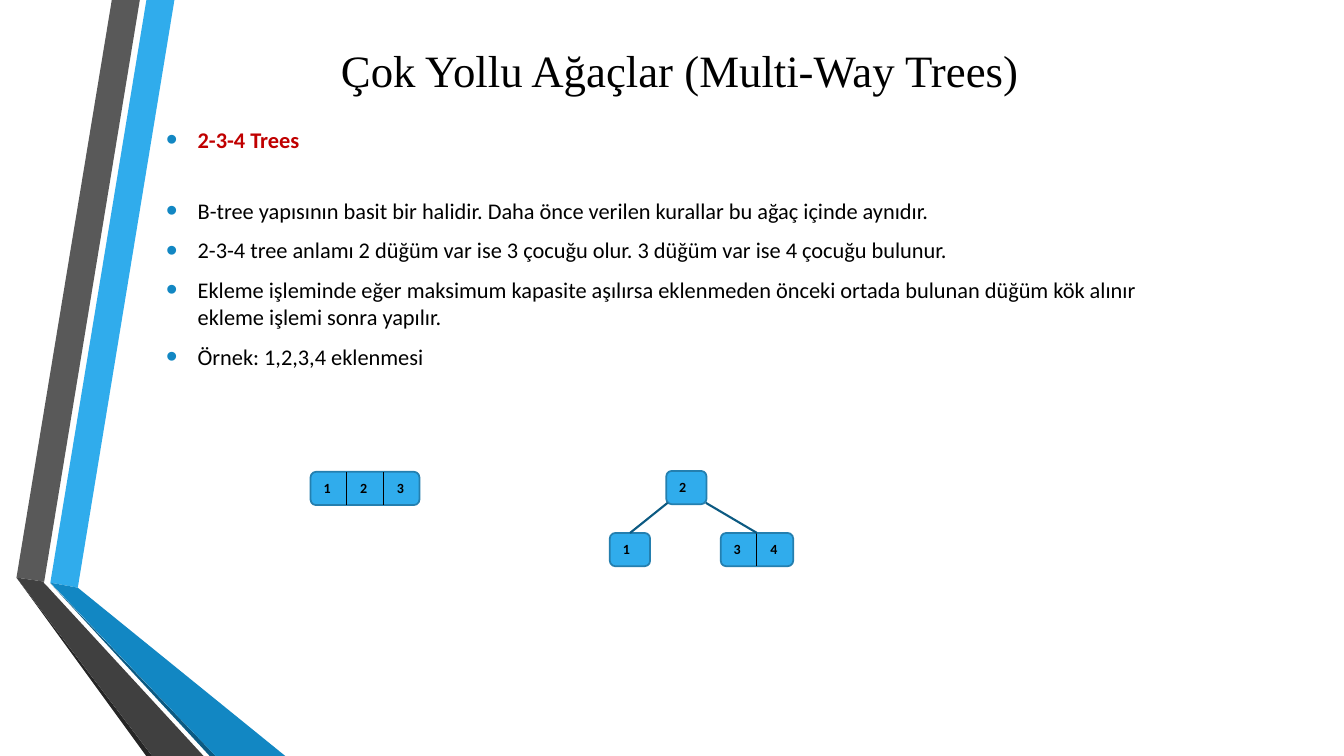
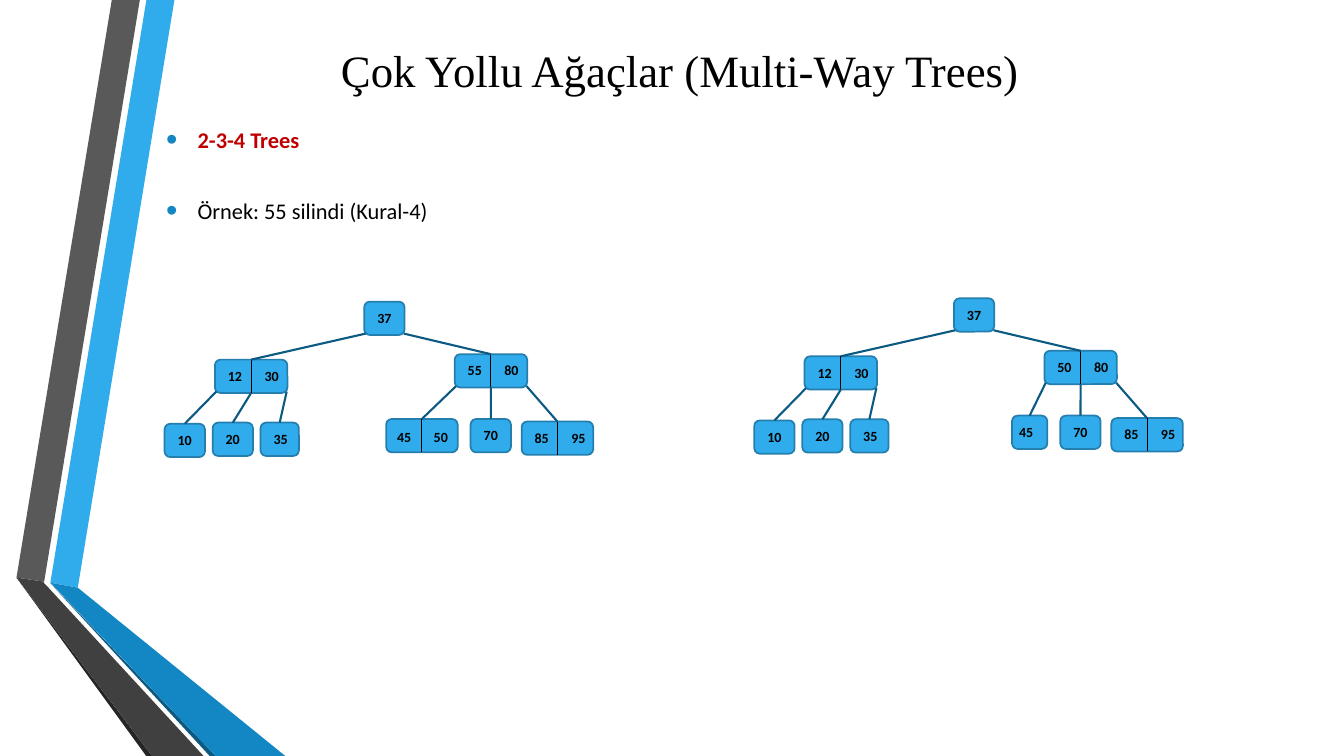
from lxml import etree
from pptx import Presentation
from pptx.dml.color import RGBColor
from pptx.enum.shapes import MSO_CONNECTOR, MSO_SHAPE
from pptx.enum.text import MSO_ANCHOR, PP_ALIGN
from pptx.oxml.ns import qn
from pptx.util import Pt

STRAIGHT = MSO_CONNECTOR.STRAIGHT
ROUNDED = MSO_SHAPE.ROUNDED_RECTANGLE
MIDDLE = MSO_ANCHOR.MIDDLE
CENTER = PP_ALIGN.CENTER
TOP, BOTTOM = 0, 2

BLACK, RED = "000000", "C00000"
SKY, BLUE, NAVY, OUTLINE = "30ACEC", "1287C3", "0C5A82", "247FAF"

TITLE = "Çok Yollu Ağaçlar (Multi-Way Trees)"
HEADING = "2-3-4 Trees"
TEXT_LEFT, TEXT_WIDTH = 111.6, 748.1
INDENT = 22.5
NODE_HEIGHT = 23.8
KEY_STEP = 26.2

BANDS = [
    (SKY, [(36, 416.2), (55.6, 419.8), (124.6, 0), (104.6, 0)]),
    ("595959", [(99.9, 0), (79.9, 0), (11.8, 412.6), (31.6, 415.5)]),
    ("262626", [(11.8, 412.6), (104.5, 540), (108.7, 540)]),
    (NAVY, [(36, 416.7), (149.8, 540), (154.1, 540)]),
    (BLUE, [(36, 416.2), (154.1, 540), (203.8, 540), (55.6, 419.8)]),
    ("404040", [(11.8, 412.6), (108.7, 540), (145.4, 540), (34.6, 419.8),
                (31, 416), (31.6, 415.5)]),
]

# Node: keys, left, top, width, parent index, side of the parent, shift of the keys
NO_SHIFT = (0, 0)
FULL_NODE = [(["1", "2", "3"], 221.8, 337, 77.8, None, None, NO_SHIFT)]
SPLIT_TREE = [
    (["2"], 475.9, 336.4, 28.8, None, None, NO_SHIFT),
    (["1"], 435.6, 380.7, 28.8, 0, "left", NO_SHIFT),
    (["3", "4"], 514.8, 380.7, 51.8, 0, "right", NO_SHIFT),
]
BEFORE_DELETION = [
    (["37"], 260.2, 215.5, 28.8, None, None, NO_SHIFT),
    (["12", "30"], 153.5, 256.9, 51.8, 0, "left", NO_SHIFT),
    (["55", "80"], 324.8, 253, 51.8, 0, "right", NO_SHIFT),
    (["10"], 117.6, 302.7, 28.8, 1, "left", NO_SHIFT),
    (["20"], 151.9, 301.9, 28.8, 1, "middle", NO_SHIFT),
    (["35"], 186.1, 301.9, 27.4, 1, "right", NO_SHIFT),
    (["45", "50"], 275.8, 299.3, 51.1, 2, "left", (-1.5, 1)),
    (["70"], 336.2, 299.3, 28.8, 2, "middle", NO_SHIFT),
    (["85", "95"], 372.6, 301.1, 51.1, 2, "right", NO_SHIFT),
]
AFTER_DELETION = list(BEFORE_DELETION)
AFTER_DELETION[2] = (["50", "80"], *BEFORE_DELETION[2][1:])
AFTER_DELETION[6] = (["45"], 301.7, 299.3, 25.2, 2, "left", (-4.3, 0))

# Slide: body height, body lines, trees with their offsets
SLIDES = [
    (229, [
        "B-tree yapısının basit bir halidir. Daha önce verilen kurallar bu ağaç içinde aynıdır.",
        "2-3-4 tree anlamı 2 düğüm var ise 3 çocuğu olur. 3 düğüm var ise 4 çocuğu bulunur.",
        "Ekleme işleminde eğer maksimum kapasite aşılırsa eklenmeden önceki ortada bulunan "
        "düğüm kök alınır ekleme işlemi sonra yapılır.",
        "Örnek: 1,2,3,4 eklenmesi",
    ], [(FULL_NODE, 0, 0), (SPLIT_TREE, 0, 0)]),
    (138.2, ["Örnek: 55 silindi (Kural-4)"],
     [(BEFORE_DELETION, 0, 0), (AFTER_DELETION, 421.2, -2.4)]),
]


def rgb(value):
    return RGBColor.from_string(value)


def add_line(shapes, start, end, color, width):
    line = shapes.add_connector(STRAIGHT, *(Pt(value) for value in (*start, *end)))
    line.line.color.rgb = rgb(color)
    line.line.width = Pt(width)
    etree.SubElement(line._element.spPr, qn("a:effectLst"))
    return line


presentation = Presentation()
presentation.slide_width = Pt(960)
presentation.slide_height = Pt(540)

for body_height, lines, trees in SLIDES:
    slide = presentation.slides.add_slide(presentation.slide_layouts[6])

    bands = slide.shapes.add_group_shape().shapes
    for color, corners in BANDS:
        points = [(Pt(x), Pt(y)) for x, y in corners]
        builder = bands.build_freeform(*points[0], scale=1.0)
        builder.add_line_segments(points[1:], close=True)
        band = builder.convert_to_shape()
        band.shadow.inherit = False
        band.fill.solid()
        band.fill.fore_color.rgb = rgb(color)
        band.line.fill.background()

    title = slide.shapes.add_textbox(Pt(TEXT_LEFT), Pt(12.2), Pt(TEXT_WIDTH), Pt(74.9))
    title.text_frame.word_wrap = True
    title.text_frame.vertical_anchor = MIDDLE
    paragraph = title.text_frame.paragraphs[0]
    paragraph.text = TITLE
    paragraph.alignment = CENTER
    paragraph.font.name = "Times New Roman"
    paragraph.font.size = Pt(32)
    paragraph.font.color.rgb = rgb(BLACK)

    body = slide.shapes.add_textbox(Pt(TEXT_LEFT), Pt(77), Pt(TEXT_WIDTH), Pt(body_height))
    body.text_frame.word_wrap = True
    body.text_frame.text = "\n".join([HEADING, *lines])
    for index, paragraph in enumerate(body.text_frame.paragraphs):
        is_heading = index == 0
        paragraph.font.name = "Calibri"
        paragraph.font.size = Pt(16)
        paragraph.font.bold = is_heading
        paragraph.font.color.rgb = rgb(RED if is_heading else BLACK)
        if is_heading:
            paragraph.line_spacing = 1.5
        paragraph.space_before = Pt(0 if is_heading else 3.2)
        paragraph.space_after = Pt(28 if is_heading else 6)
        properties = paragraph._p.get_or_add_pPr()
        properties.set("marL", str(Pt(INDENT)))
        properties.set("indent", str(-Pt(INDENT)))
        bullet_color = etree.SubElement(properties, qn("a:buClr"))
        etree.SubElement(bullet_color, qn("a:srgbClr"), val=BLUE)
        etree.SubElement(properties, qn("a:buSzPct"), val="145000")
        etree.SubElement(properties, qn("a:buFont"), typeface="Arial")
        etree.SubElement(properties, qn("a:buChar"), char="•")

    for tree, offset_x, offset_y in trees:
        shapes = slide.shapes.add_group_shape().shapes
        nodes = []
        for keys, left, top, width, parent, side, (shift_x, shift_y) in tree:
            left += offset_x
            top += offset_y
            bottom = top + NODE_HEIGHT
            node = shapes.add_shape(ROUNDED, Pt(left), Pt(top), Pt(width), Pt(NODE_HEIGHT))
            node.shadow.inherit = False
            node.fill.solid()
            node.fill.fore_color.rgb = rgb(SKY)
            node.line.color.rgb = rgb(OUTLINE)
            node.line.width = Pt(1.25)

            for index, key in enumerate(keys):
                if index:
                    x = left + width * index / len(keys)
                    add_line(shapes, (x, top), (x, bottom), BLACK, 0.75)
                label = shapes.add_textbox(Pt(left + 2.2 + KEY_STEP * index + shift_x),
                                           Pt(top + 2 + shift_y), Pt(26), Pt(19.4))
                label.text_frame.word_wrap = True
                paragraph = label.text_frame.paragraphs[0]
                paragraph.text = key
                paragraph.font.name = "Calibri"
                paragraph.font.size = Pt(10)
                paragraph.font.bold = True
                paragraph.font.color.rgb = rgb(BLACK)

            if parent is not None:
                parent_node, parent_left, parent_right, parent_bottom = nodes[parent]
                starts = {
                    "left": parent_left + 1,
                    "middle": (parent_left + parent_right) / 2,
                    "right": parent_right - 0.5,
                }
                branch = add_line(shapes, (starts[side], parent_bottom - 1),
                                  (left + width / 2, top), NAVY, 1.5)
                if side == "middle":
                    branch.begin_connect(parent_node, BOTTOM)
                branch.end_connect(node, TOP)
            nodes.append((node, left, left + width, bottom))

presentation.save("out.pptx")
